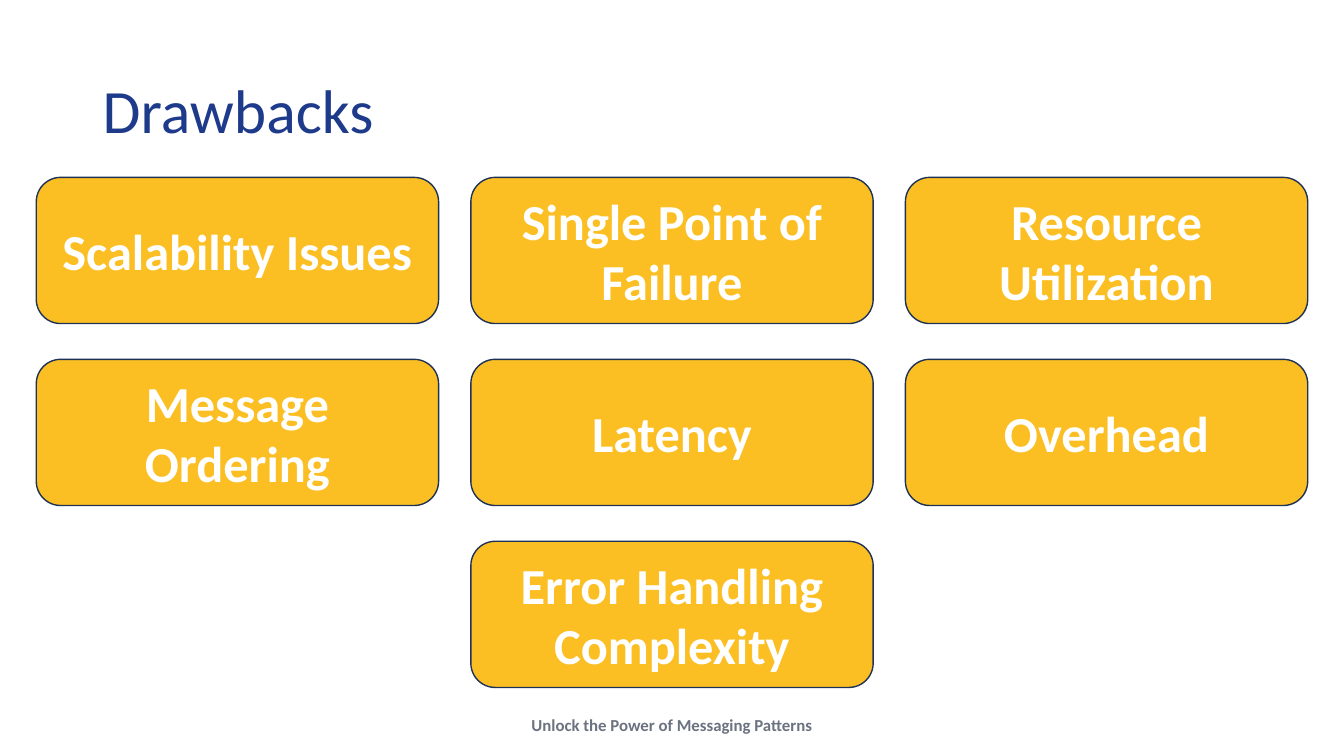
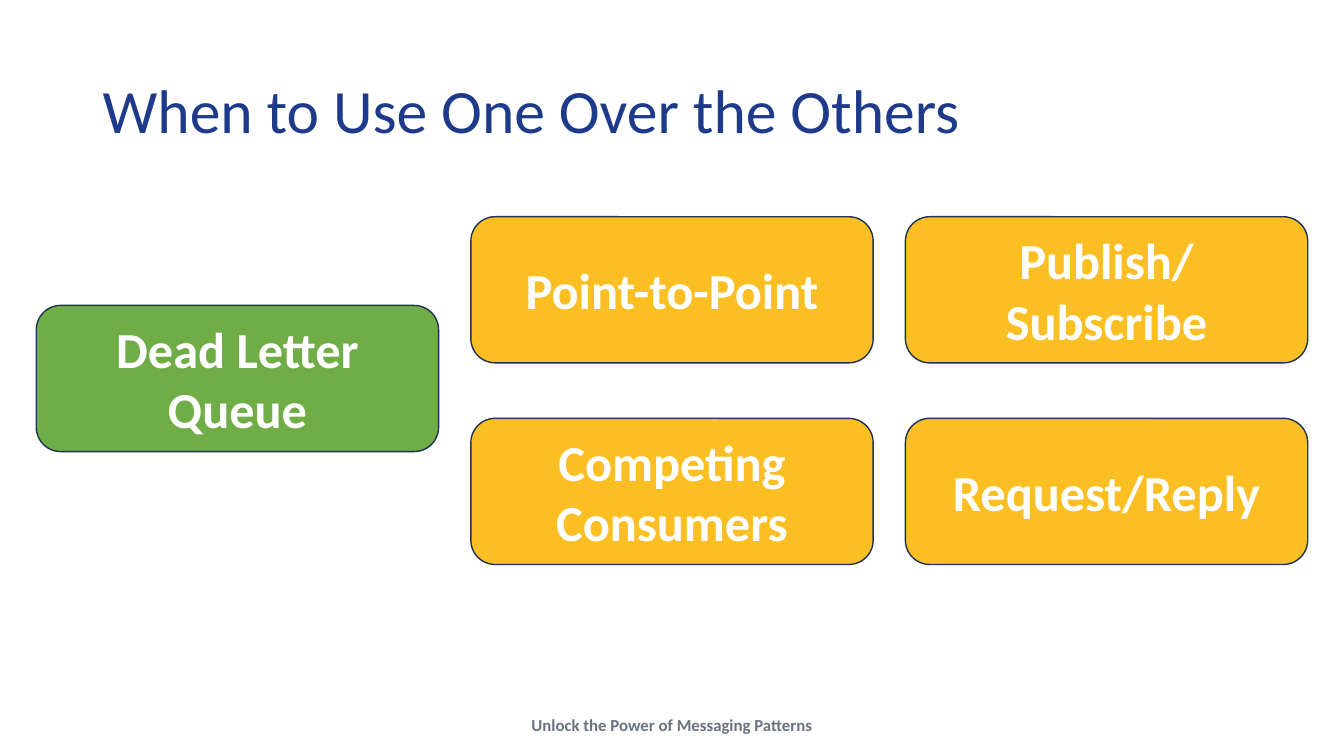
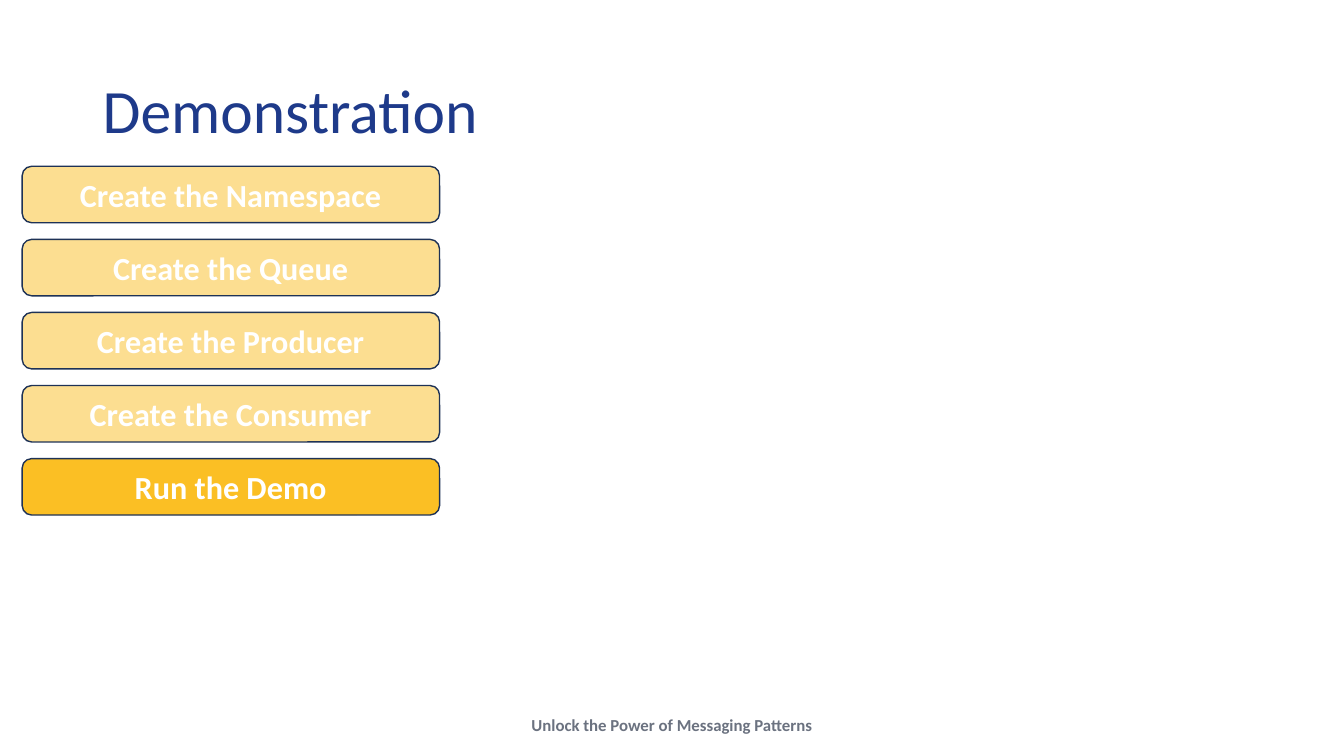
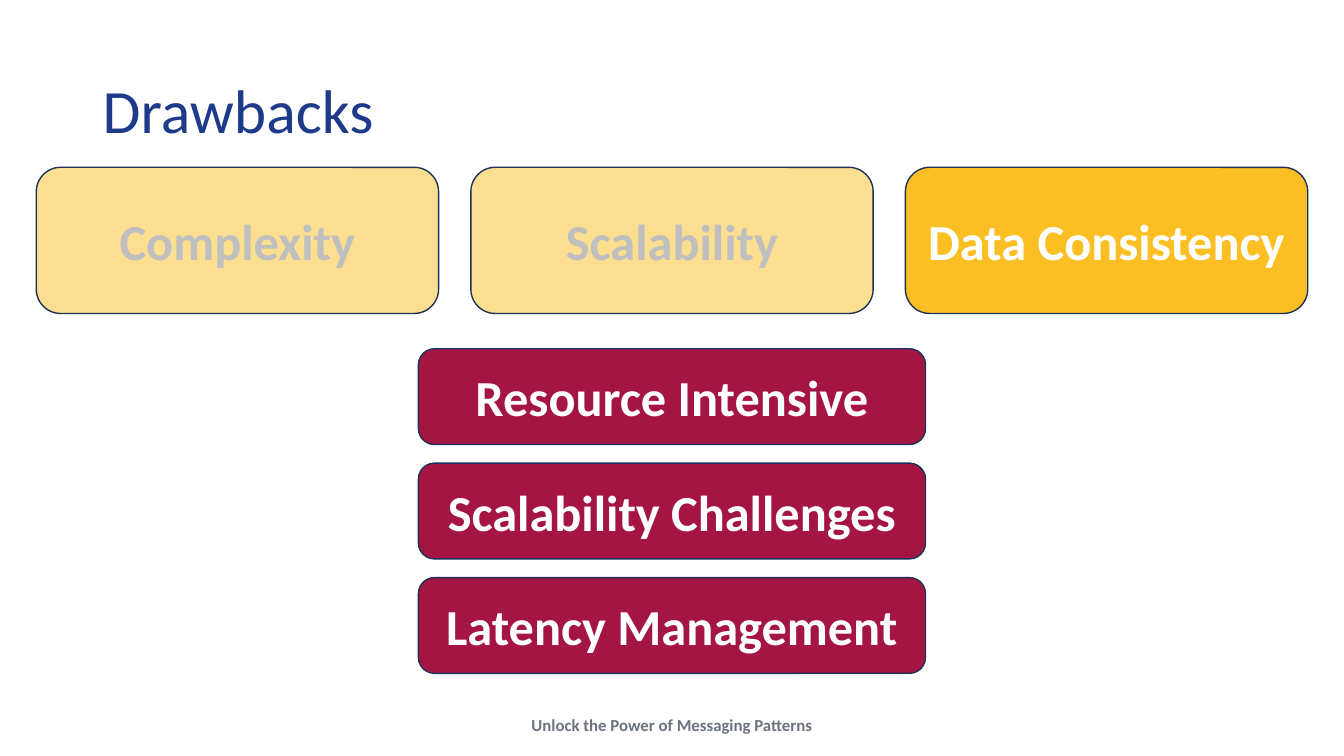
from pptx import Presentation
from pptx.dml.color import RGBColor
from pptx.enum.shapes import MSO_SHAPE
from pptx.enum.text import MSO_ANCHOR, PP_ALIGN
from pptx.oxml.ns import qn
from pptx.oxml.xmlchemy import OxmlElement
from pptx.util import Inches, Pt

SLIDE_WIDTH, SLIDE_HEIGHT = 13.33, 7.5
FONT = "Calibri"
AMBER, GREEN, CRIMSON = "FBBF24", "70AD47", "A41544"
NAVY, BLUE, GREY, SILVER, WHITE = "1E3256", "1E3A8A", "6B7280", "BFBFBF", "FFFFFF"
FOOTER = "Unlock the Power of Messaging Patterns"

CARD_WIDTH, CARD_HEIGHT = 3.99, 1.45
CARD_LEFT, COLUMN_STEP = 0.36, 4.31
STEP_HEIGHT, BAR_HEIGHT = 0.56, 0.95

TITLE_STYLE = {"size": Pt(44), "bold": False}
FOOTER_STYLE = {"size": Pt(12), "bold": True}
CARD_STYLE = {"size": Pt(36), "bold": True}
STEP_STYLE = {"size": Pt(23), "bold": True}


def rgb(value):
    return RGBColor.from_string(value)


def write(shape, text, style, color, align=PP_ALIGN.CENTER,
          anchor=MSO_ANCHOR.MIDDLE, wrap=True):
    frame = shape.text_frame
    frame.word_wrap = wrap
    frame.vertical_anchor = anchor
    para = frame.paragraphs[0]
    para.alignment = align
    span = para.add_run()
    span.text = text
    for name, value in {"name": FONT, **style}.items():
        setattr(span.font, name, value)
    span.font.color.rgb = rgb(color)
    return para


def add_text(page, area, text, style, color, **layout):
    box = page.shapes.add_textbox(*map(Inches, area))
    return write(box, text, style, color, **layout)


def add_page(deck, title):
    page = deck.slides.add_slide(deck.slide_layouts[6])
    add_text(page, (5.15, 7.04, 3.03, 0.3), FOOTER, FOOTER_STYLE, GREY,
             anchor=MSO_ANCHOR.TOP, wrap=False)
    para = add_text(page, (0.92, 0.4, 11.5, 1.45), title, TITLE_STYLE, BLUE,
                    align=PP_ALIGN.LEFT)
    para.line_spacing = 0.9
    return page


def add_box(page, area, text, style=CARD_STYLE, fill=AMBER, color=WHITE, faded=False):
    """Add a rounded box; a faded one has a half transparent fill."""
    box = page.shapes.add_shape(MSO_SHAPE.ROUNDED_RECTANGLE, *map(Inches, area))
    box.shadow.inherit = False
    box.fill.solid()
    box.fill.fore_color.rgb = rgb(fill)
    if faded:
        alpha = OxmlElement("a:alpha")
        alpha.set("val", "50000")
        box.element.spPr.find(qn("a:solidFill")).find(qn("a:srgbClr")).append(alpha)
    box.line.color.rgb = rgb(NAVY)
    box.line.width = Pt(1)
    write(box, text, style, color)


def add_card(page, column, top, text, **look):
    left = CARD_LEFT + column * COLUMN_STEP
    add_box(page, (left, top, CARD_WIDTH, CARD_HEIGHT), text, **look)


def row_tops(top, bottom, height, count):
    """Return the tops of rows that fill the range with equal gaps."""
    step = (bottom - top - height) / (count - 1)
    return [top + row * step for row in range(count)]


def add_card_grid(page, rows, top, bottom):
    """Add cards from rows that map a column number to its text."""
    tops = row_tops(top, bottom, CARD_HEIGHT, len(rows))
    for row_top, row in zip(tops, rows):
        for column, text in row.items():
            add_card(page, column, row_top, text)


def queue_drawbacks(deck):
    page = add_page(deck, "Drawbacks")
    add_card_grid(page, [
        {0: "Scalability Issues", 1: "Single Point of Failure", 2: "Resource Utilization"},
        {0: "Message Ordering", 1: "Latency", 2: "Overhead"},
        {1: "Error Handling Complexity"},
    ], top=1.76, bottom=6.82)


def pattern_choice(deck):
    page = add_page(deck, "When to Use One Over the Others")
    add_card_grid(page, [
        {1: "Point-to-Point", 2: "Publish/ Subscribe"},
        {1: "Competing Consumers", 2: "Request/Reply"},
    ], top=2.15, bottom=5.6)
    add_card(page, 0, 3.03, "Dead Letter Queue", fill=GREEN)


def demonstration(deck):
    page = add_page(deck, "Demonstration")
    steps = ["Create the Namespace", "Create the Queue", "Create the Producer",
             "Create the Consumer", "Run the Demo"]
    for top, step in zip(row_tops(1.65, 5.11, STEP_HEIGHT, len(steps)), steps):
        add_box(page, (0.22, top, 4.14, STEP_HEIGHT), step, STEP_STYLE,
                faded=step != steps[-1])


def consistency_drawbacks(deck):
    page = add_page(deck, "Drawbacks")
    topics = ["Complexity", "Scalability", "Data Consistency"]
    for column, topic in enumerate(topics):
        covered = topic != topics[-1]
        add_card(page, column, 1.66, topic, faded=covered,
                 color=SILVER if covered else WHITE)
    bars = ["Resource Intensive", "Scalability Challenges", "Latency Management"]
    width = 5.03
    for top, bar in zip(row_tops(3.46, 6.68, BAR_HEIGHT, len(bars)), bars):
        add_box(page, ((SLIDE_WIDTH - width) / 2, top, width, BAR_HEIGHT), bar,
                fill=CRIMSON)


def main():
    deck = Presentation()
    deck.slide_width, deck.slide_height = Inches(SLIDE_WIDTH), Inches(SLIDE_HEIGHT)
    for build in (queue_drawbacks, pattern_choice, demonstration, consistency_drawbacks):
        build(deck)
    deck.save("out.pptx")


if __name__ == "__main__":
    main()
